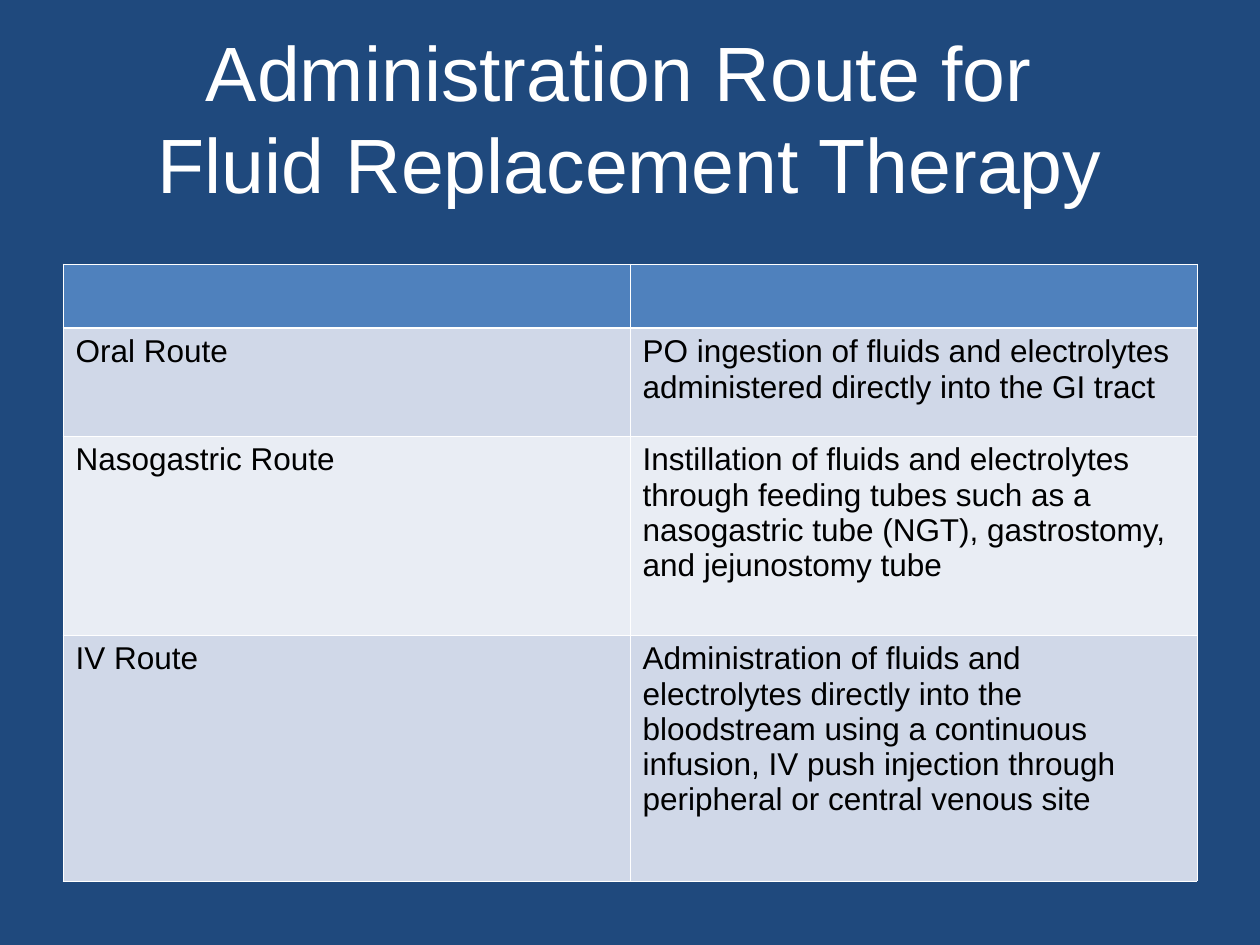
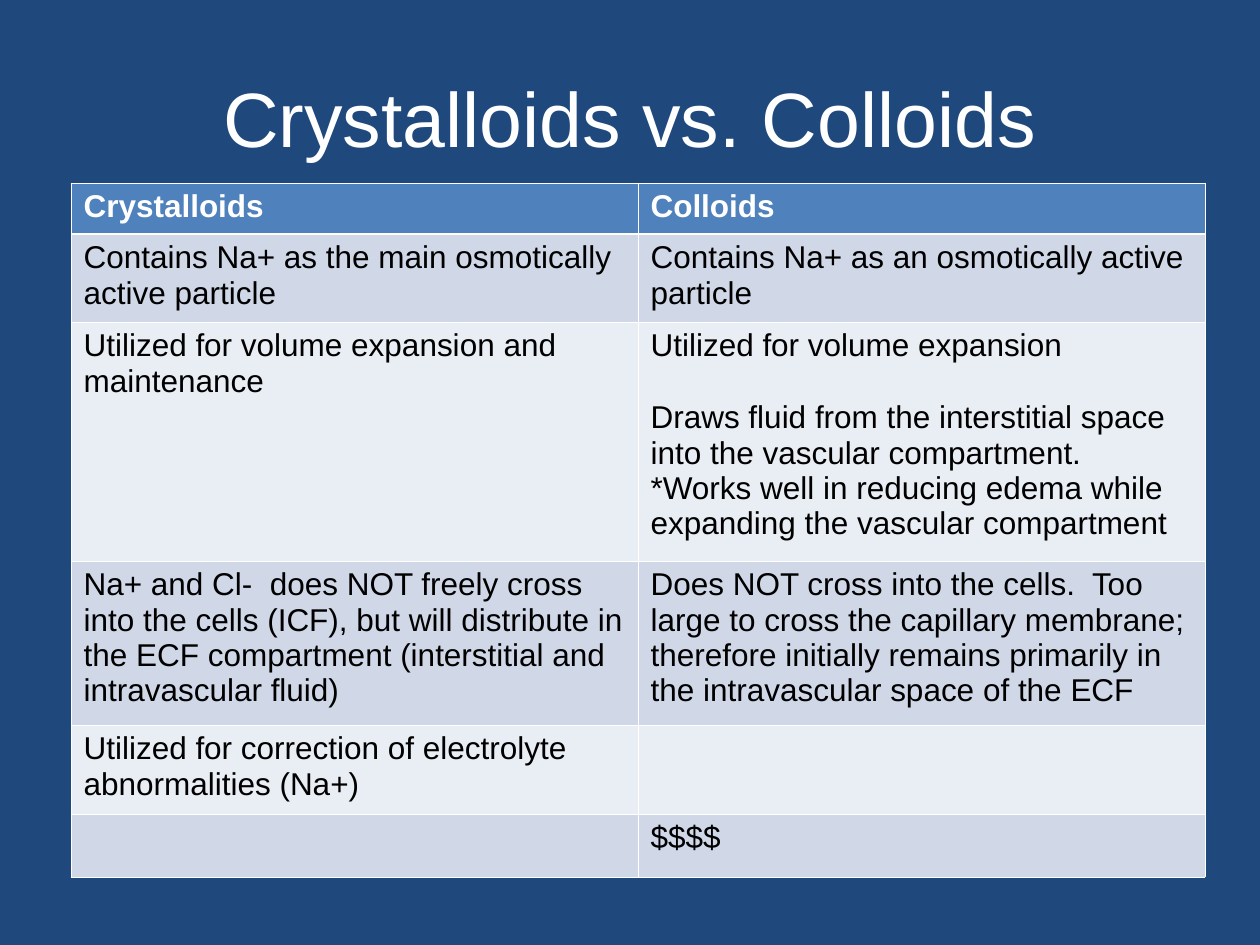
from dataclasses import dataclass
from typing import Sequence

from lxml.etree import SubElement
from pptx import Presentation
from pptx.dml.color import RGBColor
from pptx.enum.text import MSO_ANCHOR as Anchor, MSO_AUTO_SIZE as AutoSize, PP_ALIGN as Align
from pptx.oxml.ns import qn
from pptx.util import Emu, Pt

PX_PER_INCH = 126
EMU_PER_INCH = 914400

# Shared style
FONT = "Arial"
NAVY, WHITE, BLACK = "1F497D", "FFFFFF", "000000"
HEADER_FILL = "4F81BD"
BAND_FILLS = ("E9EDF4", "D0D8E8")
THIN, THICK = 0.45, 1.47
TITLE_BOX = (63, 38, 1134, 158)
COLUMN_WIDTH = 567
BLANK_LINE = 21


@dataclass(frozen=True)
class Row:
    height: int
    left: str = ""
    right: str = ""


@dataclass(frozen=True)
class TableSlide:
    title: str
    left: int
    top: int
    rows: Sequence[Row]


# Content: "\n" starts a paragraph, "\n\n" one with a line's space before it
SLIDES = (
    TableSlide("Administration Route for \vFluid Replacement Therapy", 63, 264, (
        Row(64),
        Row(108, "Oral Route",
            "PO ingestion of fluids and electrolytes administered directly into the GI tract"),
        Row(199, "Nasogastric Route",
            "Instillation of fluids and electrolytes through feeding tubes such as a "
            "nasogastric tube (NGT), gastrostomy, and jejunostomy tube"),
        Row(246, "IV Route",
            "Administration of fluids and electrolytes directly into the bloodstream using a "
            "continuous infusion, IV push injection through peripheral or central venous site"),
    )),
    TableSlide("Crystalloids vs. Colloids", 71, 183, (
        Row(51, "Crystalloids", "Colloids"),
        Row(88, "Contains Na+ as the main osmotically active particle",
            "Contains Na+ as an osmotically active particle"),
        Row(239, "Utilized for volume expansion and maintenance",
            "Utilized for volume expansion\n\n"
            "Draws fluid from the interstitial space into the vascular compartment.\n"
            "*Works well in reducing edema while expanding the vascular compartment"),
        Row(164, "Na+ and Cl-  does NOT freely cross into the cells (ICF), but will distribute "
            "in the ECF compartment (interstitial and intravascular fluid)",
            "Does NOT cross into the cells.  Too large to cross the capillary membrane; "
            "therefore initially remains primarily in the intravascular space of the ECF"),
        Row(89, "Utilized for correction of electrolyte abnormalities (Na+)"),
        Row(63, "", "$$$$"),
    )),
)


def px(length: int) -> Emu:
    return Emu(round(length * EMU_PER_INCH / PX_PER_INCH))


def color(hex_value: str) -> RGBColor:
    return RGBColor.from_string(hex_value)


def style_font(paragraph, size: int, hex_value: str, bold: bool = False) -> None:
    font = paragraph.font
    font.name, font.size, font.bold = FONT, Pt(size), bold
    font.color.rgb = color(hex_value)


def add_title(slide, text: str) -> None:
    title = slide.shapes.title
    title.left, title.top, title.width, title.height = map(px, TITLE_BOX)
    frame = title.text_frame
    frame.text = text
    frame.word_wrap = True
    frame.auto_size = AutoSize.NONE
    frame.vertical_anchor = Anchor.MIDDLE
    for paragraph in frame.paragraphs:
        paragraph.alignment = Align.CENTER
        style_font(paragraph, 44, WHITE)


def add_borders(cell, top: float, bottom: float) -> None:
    properties = cell._tc.get_or_add_tcPr()
    for side, width in (("L", THIN), ("R", THIN), ("T", top), ("B", bottom)):
        line = SubElement(properties, qn(f"a:ln{side}"), w=str(Pt(width)))
        fill = SubElement(line, qn("a:solidFill"))
        SubElement(fill, qn("a:srgbClr"), val=WHITE)


def fill_cell(cell, text: str, row_index: int) -> None:
    is_header = row_index == 0
    add_borders(cell, THICK if row_index == 1 else THIN, THICK if is_header else THIN)
    cell.fill.solid()
    cell.fill.fore_color.rgb = color(HEADER_FILL if is_header else BAND_FILLS[row_index % 2])

    frame = cell.text_frame
    after_blank = False
    paragraph = frame.paragraphs[0]
    for index, line in enumerate(text.split("\n")):
        if not line and index:
            after_blank = True
            continue
        if index:
            paragraph = frame.add_paragraph()
        paragraph.text = line
        if after_blank:
            paragraph.space_before = Pt(BLANK_LINE)
            after_blank = False
        style_font(paragraph, 18, WHITE if is_header else BLACK, is_header)


def add_table(slide, content: TableSlide) -> None:
    height = sum(row.height for row in content.rows)
    table = slide.shapes.add_table(
        len(content.rows), 2, px(content.left), px(content.top),
        px(2 * COLUMN_WIDTH), px(height)).table
    for column in table.columns:
        column.width = px(COLUMN_WIDTH)
    for row_index, row in enumerate(content.rows):
        table.rows[row_index].height = px(row.height)
        for column_index, text in enumerate((row.left, row.right)):
            fill_cell(table.cell(row_index, column_index), text, row_index)


def main() -> None:
    presentation = Presentation()
    presentation.slide_width, presentation.slide_height = px(1260), px(945)

    # Background shared through the master
    background = presentation.slide_master.background.fill
    background.solid()
    background.fore_color.rgb = color(NAVY)

    title_only = presentation.slide_layouts.get_by_name("Title Only")
    for content in SLIDES:
        slide = presentation.slides.add_slide(title_only)
        add_title(slide, content.title)
        add_table(slide, content)

    presentation.save("out.pptx")


if __name__ == "__main__":
    main()
